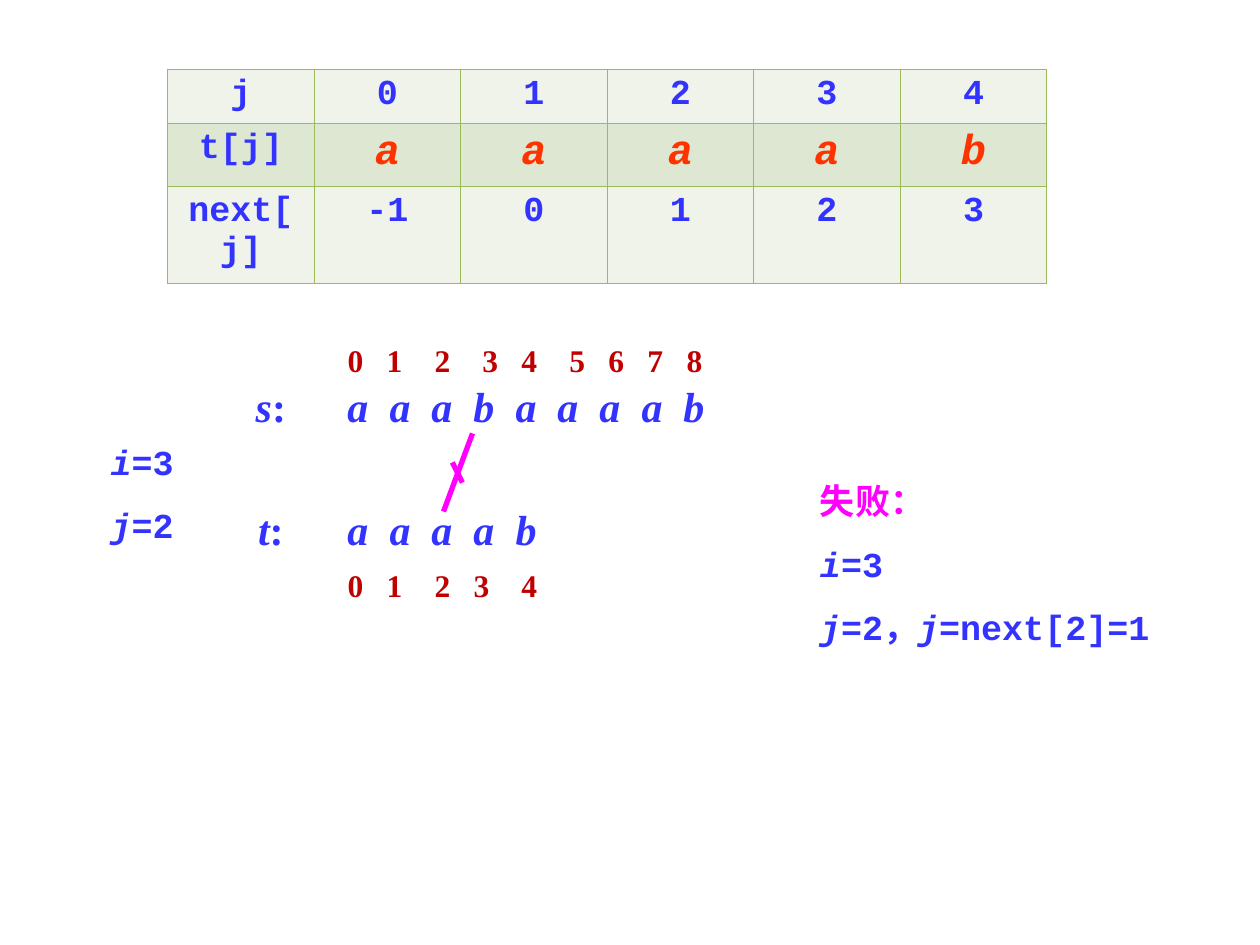
"""Build the slide that traces one failed step of KMP string matching."""
from itertools import accumulate

from lxml import etree
from pptx import Presentation
from pptx import util as u
from pptx.dml.color import RGBColor
from pptx.enum import shapes, text
from pptx.oxml.ns import qn

COLORS = {
    "blue": "3333FF",
    "orange": "FF3300",
    "red": "C00000",
    "magenta": "FF00FF",
    "border": "9BBB59",
    "light": "EFF3EA",
    "band": "DEE7D1",
}
MONO = "Courier New"
SERIF = "Times New Roman"
LETTER_GAP = 1 / 3
NARROW, WIDE = 0.31, 0.38


def rgb(name):
    return RGBColor.from_string(COLORS[name])


def add_run(paragraph, content, font=MONO, size=20, color="blue", italic=False):
    run = paragraph.add_run()
    run.text = content
    run.font.name = font
    run.font.size = u.Pt(size)
    run.font.bold = True
    run.font.italic = italic
    run.font.color.rgb = rgb(color)


def add_tab_stops(paragraph, stops):
    tab_list = etree.SubElement(paragraph._p.get_or_add_pPr(), qn("a:tabLst"))
    for stop in stops:
        etree.SubElement(tab_list, qn("a:tab"), pos=str(u.Inches(stop)), algn="l")


def add_text(slide, box, lines, align=text.PP_ALIGN.LEFT, spacing=None, stops=(), **style):
    """Add a text box; each line is a list of (text, format overrides)."""
    shape = slide.shapes.add_textbox(*map(u.Inches, box))
    frame = shape.text_frame
    frame.word_wrap = True
    frame.auto_size = text.MSO_AUTO_SIZE.SHAPE_TO_FIT_TEXT
    for index, line in enumerate(lines):
        paragraph = frame.add_paragraph() if index else frame.paragraphs[0]
        paragraph.alignment = align
        if spacing:
            paragraph.line_spacing = spacing
        if stops:
            add_tab_stops(paragraph, stops)
        for content, overrides in line:
            add_run(paragraph, content, **{**style, **overrides})


def assignment(name, value):
    return [(name, {"italic": True}), (f"={value}", {})]


def add_string(slide, name, letters, top, index_top, index_gaps):
    """Add a labelled string and the row of its indices."""
    style = {"font": SERIF, "size": 24}
    add_text(slide, (1.8, top, 0.7, 0.5), [[(name, {"italic": True}), (":", {})]],
             align=text.PP_ALIGN.CENTER, **style)
    letter_stops = [LETTER_GAP * step for step in range(1, len(letters))]
    add_text(slide, (2.66, top, 3.36, 0.5), [[("\t".join(letters), {})]],
             stops=letter_stops, italic=True, **style)
    indices = "\t".join(map(str, range(len(letters))))
    add_text(slide, (2.66, index_top, 3.28, 0.4), [[(indices, {})]],
             stops=list(accumulate(index_gaps)), font=SERIF, size=18, color="red")


def add_borders(cell):
    properties = cell._tc.get_or_add_tcPr()
    for position, side in enumerate(("lnL", "lnR", "lnT", "lnB")):
        line = etree.Element(qn(f"a:{side}"), w=str(u.Pt(0.45)))
        fill = etree.SubElement(line, qn("a:solidFill"))
        etree.SubElement(fill, qn("a:srgbClr"), val=COLORS["border"])
        properties.insert(position, line)


def add_next_table(slide):
    rows = [
        ("j", "0", "1", "2", "3", "4"),
        ("t[j]", "a", "a", "a", "a", "b"),
        ("next[j]", "-1", "0", "1", "2", "3"),
    ]
    heights = (0.43, 0.5, 0.77)
    box = map(u.Inches, (1.33, 0.55, 6.98, sum(heights)))
    table = slide.shapes.add_table(len(rows), len(rows[0]), *box).table
    for row_index, (values, height) in enumerate(zip(rows, heights)):
        table.rows[row_index].height = u.Inches(height)
        is_pattern = row_index == 1
        for column_index, value in enumerate(values):
            cell = table.cell(row_index, column_index)
            cell.fill.solid()
            cell.fill.fore_color.rgb = rgb("band" if is_pattern else "light")
            add_borders(cell)
            paragraph = cell.text_frame.paragraphs[0]
            paragraph.alignment = text.PP_ALIGN.CENTER
            if is_pattern and column_index:
                add_run(paragraph, value, size=24, color="orange", italic=True)
            else:
                add_run(paragraph, value)


def add_line(group, start, end):
    points = map(u.Inches, (*start, *end))
    line = group.shapes.add_connector(shapes.MSO_CONNECTOR.STRAIGHT, *points)
    line.line.color.rgb = rgb("magenta")
    line.line.width = u.Pt(3)
    etree.SubElement(line._element.spPr, qn("a:effectLst"))


def add_mismatch(slide):
    group = slide.shapes.add_group_shape()
    add_line(group, (3.75, 3.44), (3.52, 4.06))
    add_line(group, (3.59, 3.67), (3.67, 3.83))


def main():
    presentation = Presentation()
    presentation.slide_width = u.Inches(10)
    presentation.slide_height = u.Inches(7.5)
    slide = presentation.slides.add_slide(presentation.slide_layouts[6])

    add_next_table(slide)
    add_string(slide, "s", "aaabaaaab", 2.97, 2.66,
               (NARROW, WIDE, WIDE, NARROW, WIDE, NARROW, NARROW, NARROW))
    add_string(slide, "t", "aaaab", 3.95, 4.44, (NARROW, WIDE, NARROW, WIDE))
    failure = [
        [("失败：", {"color": "magenta"})],
        assignment("i", "3"),
        assignment("j", "2，") + assignment("j", "next[2]=1"),
    ]
    add_text(slide, (6.41, 3.59, 3, 1.6), failure, spacing=1.5)
    add_mismatch(slide)
    add_text(slide, (0.78, 3.28, 0.78, 1.1),
             [assignment("i", "3"), assignment("j", "2")], spacing=1.5)

    presentation.save("out.pptx")


if __name__ == "__main__":
    main()
